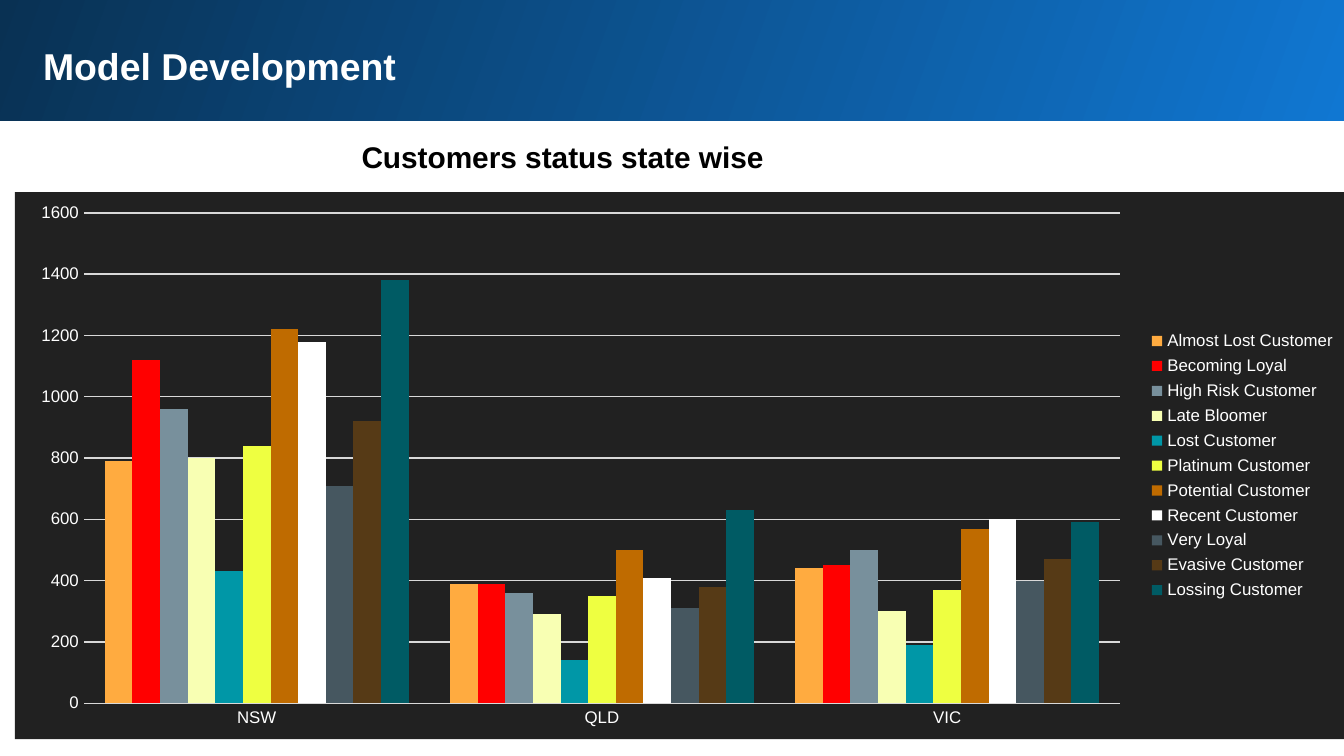
"""Build the slide showing customer status by state as a clustered column chart."""
from typing import NamedTuple

from lxml import etree
from pptx import Presentation
from pptx.chart.chart import Chart
from pptx.chart.data import CategoryChartData
from pptx.dml.color import RGBColor
from pptx.enum.chart import XL_CHART_TYPE, XL_LEGEND_POSITION, XL_TICK_MARK
from pptx.enum.shapes import MSO_SHAPE
from pptx.enum.text import MSO_ANCHOR, MSO_AUTO_SIZE, PP_ALIGN
from pptx.oxml.ns import qn
from pptx.slide import Slide
from pptx.util import Inches, Pt

COLUMNS = XL_CHART_TYPE.COLUMN_CLUSTERED
RIGHT = XL_LEGEND_POSITION.RIGHT
NO_TICK = XL_TICK_MARK.NONE
RECT = MSO_SHAPE.RECTANGLE
TOP = MSO_ANCHOR.TOP
NO_FIT = MSO_AUTO_SIZE.NONE
LEFT = PP_ALIGN.LEFT

FONT = "Arial"
WHITE = "FFFFFF"
STATES = ("NSW", "QLD", "VIC")


class Status(NamedTuple):
    name: str
    counts: tuple[int, int, int]
    color: str


STATUSES = [
    Status("Almost Lost Customer", (790, 390, 440), "FFAB40"),
    Status("Becoming Loyal", (1120, 390, 450), "FF0000"),
    Status("High Risk Customer", (960, 360, 500), "78909C"),
    Status("Late Bloomer", (800, 290, 300), "F8FFB3"),
    Status("Lost Customer", (430, 140, 190), "0097A7"),
    Status("Platinum Customer", (840, 350, 370), "EEFF41"),
    Status("Potential Customer", (1220, 500, 570), "BF6B00"),
    Status("Recent Customer", (1180, 410, 600), WHITE),
    Status("Very Loyal", (710, 310, 400), "465760"),
    Status("Evasive Customer", (920, 380, 470), "563A16"),
    Status("Lossing Customer", (1380, 630, 590), "005B64"),
]


def rgb(color: str) -> RGBColor:
    return RGBColor.from_string(color)


def set_font(font, size: float, color: str, bold: bool = False) -> None:
    font.name, font.size, font.bold = FONT, Pt(size), bold
    font.color.rgb = rgb(color)


def place(sp, x: float, y: float, w: float, h: float) -> None:
    sp.left, sp.top, sp.width, sp.height = map(Inches, (x, y, w, h))


def write(sp, text: str, size: float, color: str, inset: float) -> None:
    tf = sp.text_frame
    tf.word_wrap, tf.auto_size, tf.vertical_anchor = True, NO_FIT, TOP
    tf.margin_left = tf.margin_right = Inches(inset)
    tf.margin_top = tf.margin_bottom = Inches(inset)
    p = tf.paragraphs[0]
    p.text, p.alignment = text, LEFT
    set_font(p.font, size, color, bold=True)


def add_banner(s: Slide) -> None:
    sp = s.shapes.add_shape(RECT, 0, 0, 0, 0)
    place(sp, -0.02, -0.02, 10.05, 0.92)
    sp.shadow.inherit = False
    sp.line.fill.background()
    sp.fill.gradient()
    sp.fill.gradient_angle = 160
    for stop, color in zip(sp.fill.gradient_stops, ("1077D2", "093153")):
        stop.color.rgb = rgb(color)
    s.shapes.title.element.addprevious(sp.element)


def fill_background(chart: Chart, color: str) -> None:
    sp_pr = etree.Element(qn("c:spPr"))
    fill = etree.SubElement(sp_pr, qn("a:solidFill"))
    etree.SubElement(fill, qn("a:srgbClr"), val=color)
    line = etree.SubElement(sp_pr, qn("a:ln"))
    etree.SubElement(line, qn("a:noFill"))
    chart.element.find(qn("c:chart")).addnext(sp_pr)


def style_axis(axis) -> None:
    axis.major_tick_mark = axis.minor_tick_mark = NO_TICK
    axis.format.line.fill.background()
    set_font(axis.tick_labels.font, 9, WHITE)


def add_status_chart(s: Slide) -> None:
    data = CategoryChartData(number_format="0")
    data.categories = STATES
    for status in STATUSES:
        data.add_series(status.name, status.counts)
    box = map(Inches, (0.11, 1.43, 9.93, 4.07))
    chart = s.shapes.add_chart(COLUMNS, *box, data).chart
    chart.has_title = False
    set_font(chart.font, 10, WHITE)
    fill_background(chart, "212121")

    chart.has_legend = True
    chart.legend.position = RIGHT
    chart.legend.include_in_layout = False
    set_font(chart.legend.font, 9, WHITE)

    style_axis(chart.category_axis)
    axis = chart.value_axis
    style_axis(axis)
    axis.minimum_scale, axis.maximum_scale, axis.major_unit = 0, 1600, 200
    axis.tick_labels.number_format = "0"
    axis.tick_labels.number_format_is_linked = False
    grid = axis.major_gridlines.format.line
    grid.color.rgb, grid.width = rgb("D9D9D9"), Pt(0.75)

    plot = chart.plots[0]
    plot.gap_width, plot.overlap, plot.vary_by_categories = 150, 0, False
    for series, status in zip(plot.series, STATUSES):
        series.format.fill.solid()
        series.format.fill.fore_color.rgb = rgb(status.color)


def main() -> None:
    prs = Presentation()
    prs.slide_width = Inches(10)
    prs.slide_height = prs.slide_width * 9 // 16
    s = prs.slides.add_slide(prs.slide_layouts[5])
    title = s.shapes.title
    place(title, 0.22, 0.22, 9.37, 1.21)
    write(title, "Model Development", 20, WHITE, 0.1)
    add_banner(s)
    add_status_chart(s)
    heading = s.shapes.add_textbox(0, 0, 0, 0)
    place(heading, 2.64, 0.98, 5.16, 0.37)
    write(heading, "Customers status state wise", 16, "000000", 0.05)
    prs.save("out.pptx")


if __name__ == "__main__":
    main()
